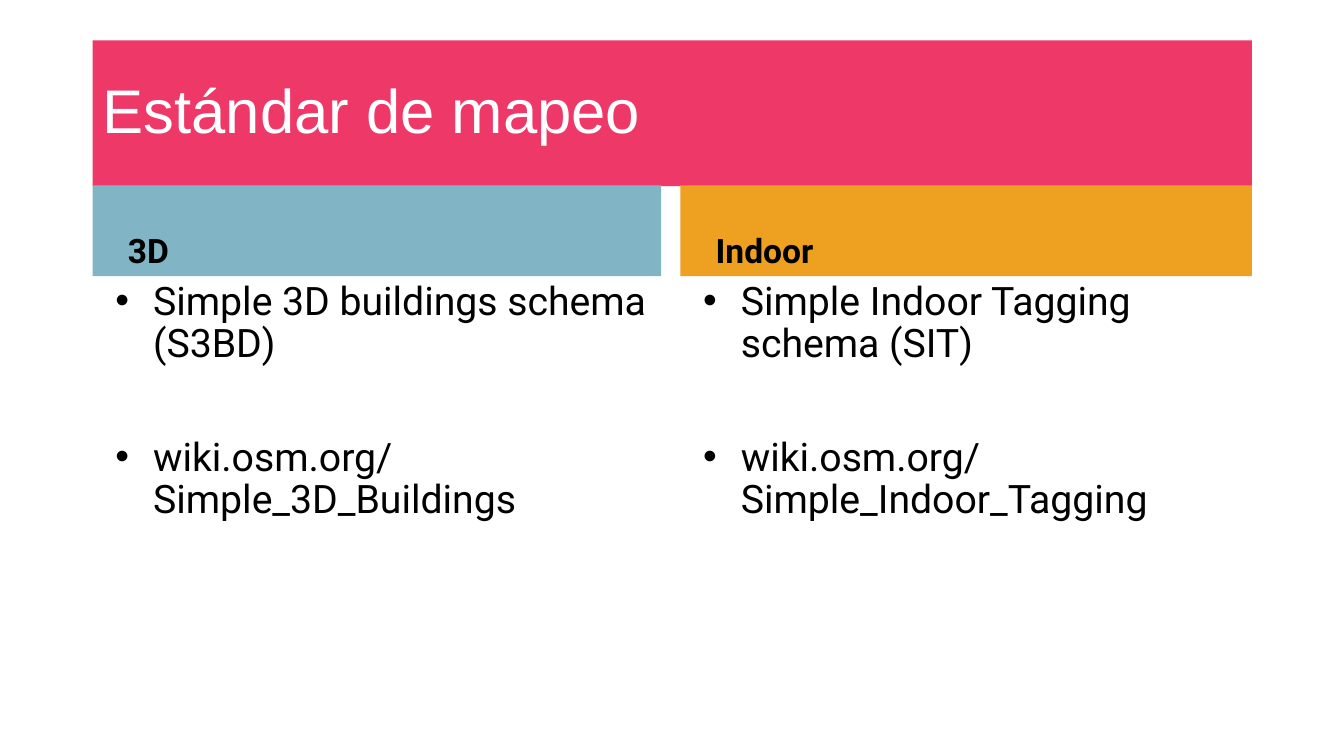
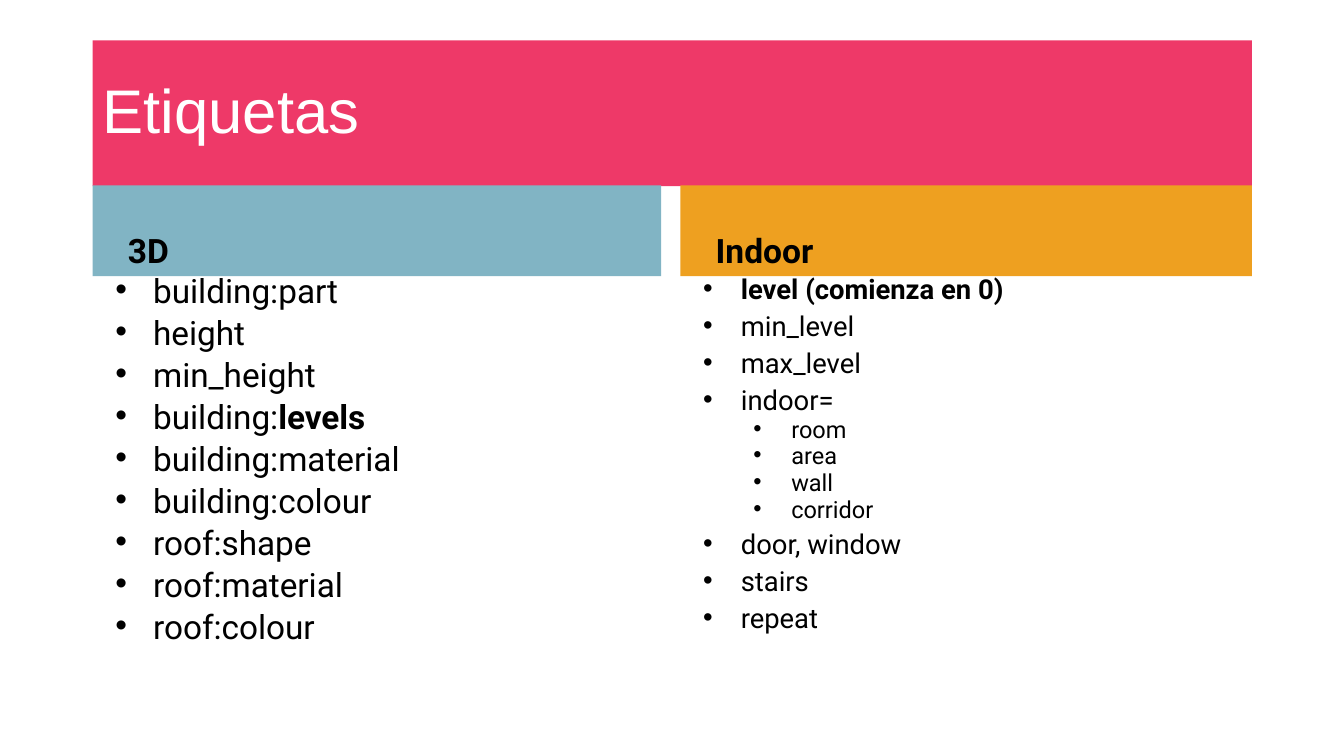
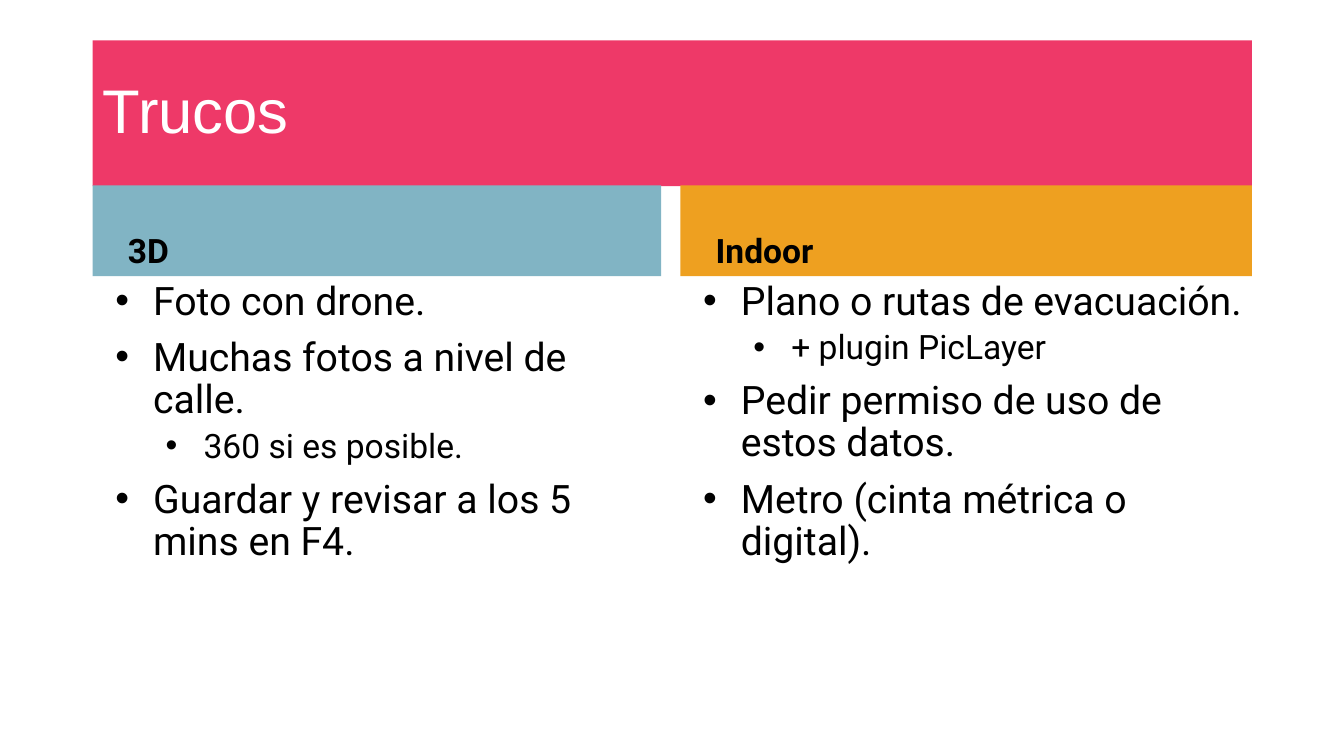
from dataclasses import dataclass

from lxml.etree import SubElement
from pptx import Presentation
from pptx.dml.color import RGBColor
from pptx.enum.text import MSO_ANCHOR, MSO_AUTO_SIZE, PP_ALIGN
from pptx.oxml.ns import qn
from pptx.util import Pt

# Each item: level, plain text, bold text, optional space before.
# Each list: scale of the type, line spacing, items.
SLIDES = [
    ("Estándar de mapeo", [
        (1, 0.9, [(0, "Simple 3D buildings schema (S3BD)", ""),
                  (0, "wiki.osm.org/\nSimple_3D_Buildings", "", 51)]),
        (1, 0.9, [(0, "Simple Indoor Tagging schema (SIT)", ""),
                  (0, "wiki.osm.org/\nSimple_Indoor_Tagging", "", 51)]),
    ]),
    ("Etiquetas", [
        (0.85, 0.7, [(0, "building:part", ""),
                     (0, "height", ""),
                     (0, "min_height", ""),
                     (0, "building:", "levels"),
                     (0, "building:material", ""),
                     (0, "building:colour", ""),
                     (0, "roof:shape", ""),
                     (0, "roof:material", ""),
                     (0, "roof:colour", "")]),
        (0.7, 0.7, [(0, "", "level (comienza en 0)"),
                    (0, "min_level", ""),
                    (0, "max_level", ""),
                    (0, "indoor=", ""),
                    (1, "room", ""),
                    (1, "area", ""),
                    (1, "wall", ""),
                    (1, "corridor", ""),
                    (0, "door, window", ""),
                    (0, "stairs", ""),
                    (0, "repeat", "")]),
    ]),
    ("Trucos", [
        (1, 0.9, [(0, "Foto con drone.", ""),
                  (0, "Muchas fotos a nivel de calle.", ""),
                  (1, "360 si es posible.", ""),
                  (0, "Guardar y revisar a los 5 mins en F4.", "")]),
        (1, 0.9, [(0, "Plano o rutas de evacuación.", ""),
                  (1, "+ plugin PicLayer", ""),
                  (0, "Pedir permiso de uso de estos datos.", ""),
                  (0, "Metro (cinta métrica o digital).", "")]),
    ]),
]
HEADS = ["3D", "Indoor"]


@dataclass(frozen=True)
class Theme:
    pink: str = "EE3968"
    heads: tuple = ("81B4C4", "EEA020")
    white: str = "FFFFFF"
    black: str = "000000"
    title_font: str = "Arial"
    body_font: str = "Roboto"
    title: int = 44
    head: int = 24
    levels: tuple = (28, 24)
    gaps: tuple = (10, 5)


THEME = Theme()
LEFT, WIDTH = 66.2, 828
TITLE_TOP, TITLE_H = 28.8, 104.2
HEAD_TOP, HEAD_H = 132.4, 64.8
LIST_TOP, LIST_H = HEAD_TOP + HEAD_H, 280
COLS = [(LEFT, 406), (486, LEFT + WIDTH - 486)]
HEAD_IDS, LIST_IDS = (1, 3), (2, 4)


def place(shape, left, top, width, height, color=None):
    shape.left, shape.top = Pt(left), Pt(top)
    shape.width, shape.height = Pt(width), Pt(height)
    if color:
        shape.fill.solid()
        shape.fill.fore_color.rgb = RGBColor.from_string(color)


def set_layout(layout):
    """Give the layout the bands and columns that every slide inherits."""
    holders = {p.placeholder_format.idx: p for p in layout.placeholders}
    place(holders[0], LEFT, TITLE_TOP, WIDTH, TITLE_H, THEME.pink)
    for (left, width), head, body, color in zip(
            COLS, HEAD_IDS, LIST_IDS, THEME.heads):
        place(holders[head], left, HEAD_TOP, width, HEAD_H, color)
        place(holders[body], left, LIST_TOP, width, LIST_H)


def set_frame(shape, anchor):
    frame = shape.text_frame
    frame.word_wrap = True
    frame.auto_size = MSO_AUTO_SIZE.NONE
    frame.vertical_anchor = anchor
    frame.margin_left = frame.margin_right = Pt(7.2)
    frame.margin_top = frame.margin_bottom = Pt(3.6)
    return frame


def set_par(par, size, font, color, spacing=0.9, before=0):
    par.alignment = PP_ALIGN.LEFT
    par.line_spacing = spacing
    par.space_before = Pt(before)
    for run in par.runs:
        run.font.size = Pt(size)
        run.font.name = font
        run.font.color.rgb = RGBColor.from_string(color)


def indent(par, margin, hang, bullet=None):
    props = par._p.get_or_add_pPr()
    props.set("marL", str(Pt(margin)))
    props.set("indent", str(Pt(-hang)))
    if bullet:
        tint = SubElement(props, qn("a:buClr"))
        SubElement(tint, qn("a:srgbClr"), val=THEME.black)
        SubElement(props, qn("a:buFont"), typeface=THEME.title_font)
        SubElement(props, qn("a:buChar"), char=bullet)
    else:
        SubElement(props, qn("a:buNone"))


def add_title(shape, text):
    frame = set_frame(shape, MSO_ANCHOR.MIDDLE)
    frame.text = text
    set_par(frame.paragraphs[0], THEME.title, THEME.title_font, THEME.white)
    frame.paragraphs[0].runs[0].font.bold = False


def add_head(shape, text):
    frame = set_frame(shape, MSO_ANCHOR.BOTTOM)
    frame.text = text
    par = frame.paragraphs[0]
    indent(par, 36, 18)
    set_par(par, THEME.head, THEME.body_font, THEME.black)
    par.runs[0].font.bold = True


def add_list(shape, scale, spacing, items):
    frame = set_frame(shape, MSO_ANCHOR.TOP)
    for i, (level, plain, bold, *extra) in enumerate(items):
        par = frame.add_paragraph() if i else frame.paragraphs[0]
        par.text = plain
        par.level = level
        if bold:
            run = par.add_run()
            run.text = bold
            run.font.bold = True
        indent(par, 36 * (level + 1), 27, "•")
        gap = extra[0] if extra else THEME.gaps[level]
        size = round(THEME.levels[level] * scale, 1)
        set_par(par, size, THEME.body_font, THEME.black, spacing,
                gap if i else 0)


def main():
    deck = Presentation()
    deck.slide_width, deck.slide_height = Pt(960), Pt(540)
    layout = deck.slide_layouts.get_by_name("Comparison")
    set_layout(layout)
    for title, lists in SLIDES:
        slide = deck.slides.add_slide(layout)
        holders = slide.placeholders
        add_title(slide.shapes.title, title)
        for head, body, text, column in zip(HEAD_IDS, LIST_IDS, HEADS, lists):
            add_head(holders[head], text)
            add_list(holders[body], *column)
    deck.save("out.pptx")


if __name__ == "__main__":
    main()
